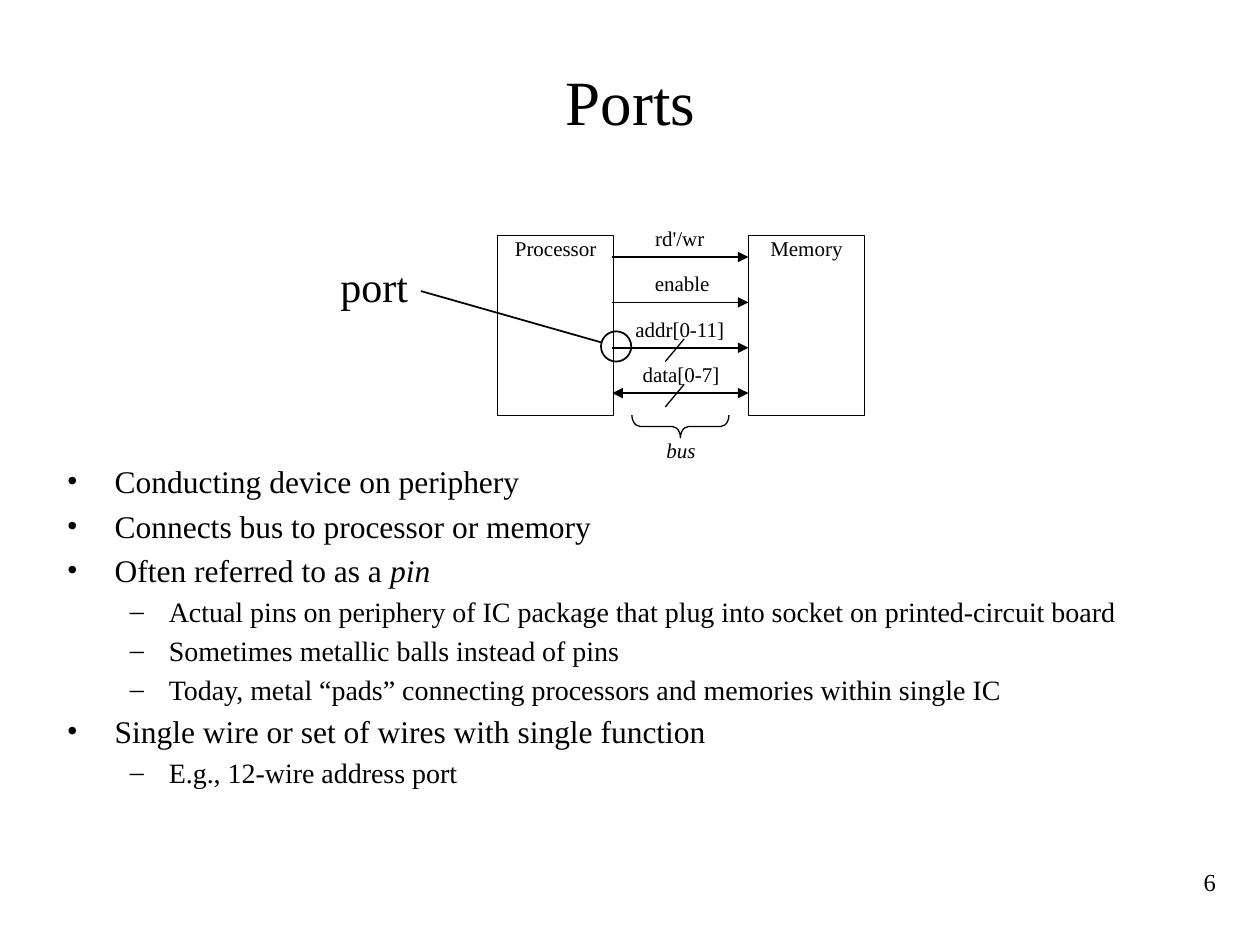
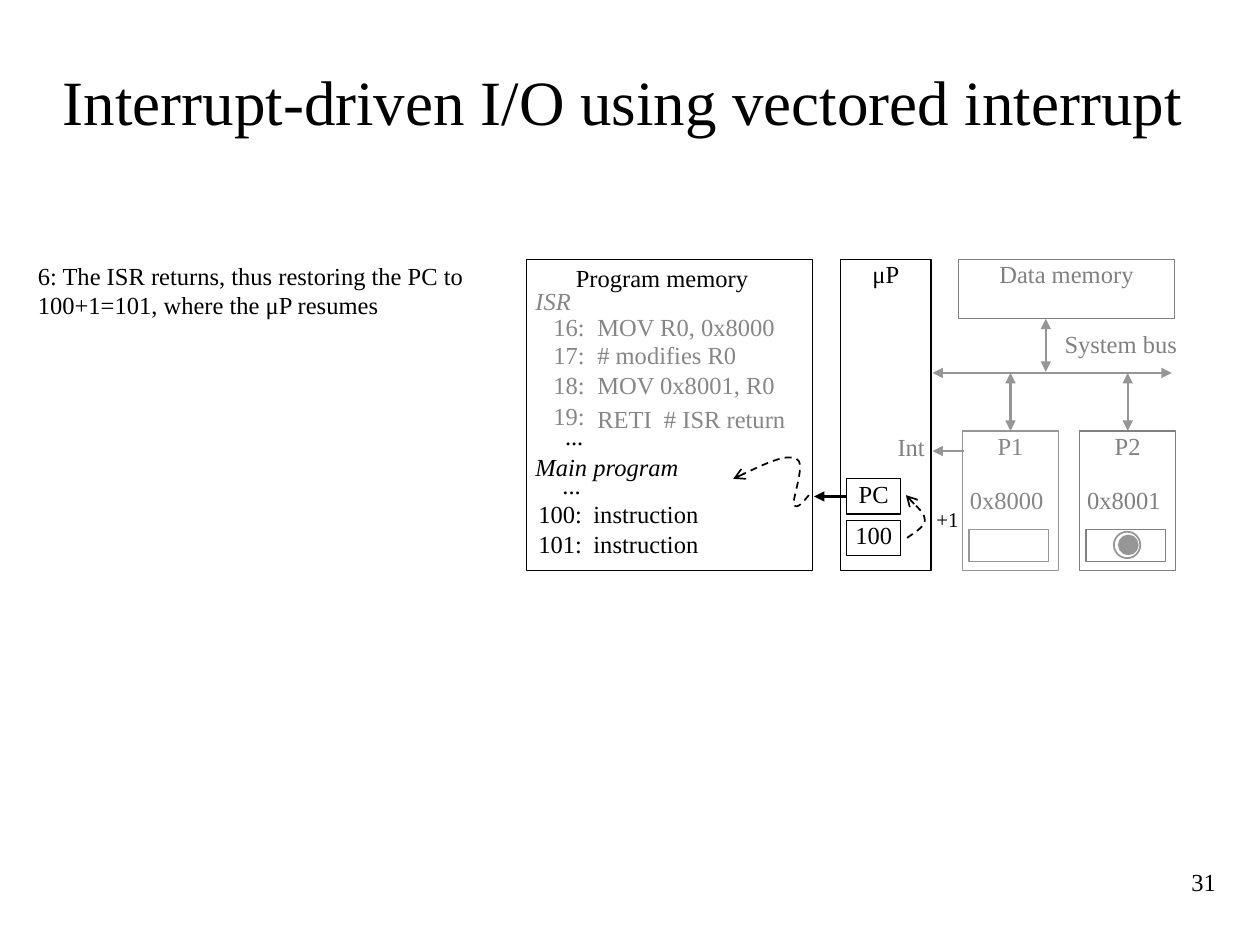
from dataclasses import dataclass

import lxml.etree
import pptx
import pptx.dml.color
import pptx.enum.dml
import pptx.enum.shapes
import pptx.enum.text
import pptx.oxml.ns
import pptx.util

PX = 9144
FONT = "Times New Roman"
COLOURS = {
    "ink": "000000",
    "paper": "FFFFFF",
    "idle_text": "868686",
    "muted": "808080",
    "idle_line": "969696",
}
SHAPES = pptx.enum.shapes.MSO_SHAPE
ALIGN = pptx.enum.text.PP_ALIGN
ANCHOR = pptx.enum.text.MSO_ANCHOR
qn = pptx.oxml.ns.qn


@dataclass
class Label:
    text: str
    left: int
    top: int
    width: int
    height: int
    size: int = 14
    colour: str = "ink"
    align: ALIGN = ALIGN.CENTER
    italic: bool = False


@dataclass
class Block:
    left: int
    top: int
    width: int
    height: int
    text: str = ""
    size: int = 14
    line: str = "ink"
    colour: str = "ink"
    fill: str | None = "paper"
    kind: SHAPES = SHAPES.RECTANGLE
    weight: float = 0.75


@dataclass
class Wire:
    start: tuple[int, int]
    end: tuple[int, int]
    weight: float = 0.75
    colour: str = "ink"
    head: str | None = None
    tail: str | None = None


@dataclass
class Signal:
    name: str
    left: int
    width: int
    weight: float = 0.75
    head: str | None = None


@dataclass
class Peripheral:
    name: str
    address: str
    left: int
    line: str
    colour: str


@dataclass
class CodeLine:
    number: str
    code: str
    top: int
    number_right: int
    code_left: int
    colour: str
    code_drop: int = 0


@dataclass
class Bullet:
    text: str
    level: int = 0
    emphasis: str = ""


def rgb(name: str) -> pptx.dml.color.RGBColor:
    return pptx.dml.color.RGBColor.from_string(COLOURS[name])


def style(paragraph, size: int, colour: str = "ink", align=None, italic: bool = False) -> None:
    paragraph.alignment = align
    paragraph.font.name = FONT
    paragraph.font.size = pptx.util.Pt(size)
    paragraph.font.color.rgb = rgb(colour)
    paragraph.font.italic = italic


def place(shape, left: int, top: int, width: int, height: int) -> None:
    shape.left, shape.top = left * PX, top * PX
    shape.width, shape.height = width * PX, height * PX


def set_insets(frame, side: int, vertical: int) -> None:
    frame.word_wrap = True
    frame.auto_size = pptx.enum.text.MSO_AUTO_SIZE.NONE
    frame.margin_left = frame.margin_right = side * PX
    frame.margin_top = frame.margin_bottom = vertical * PX


def add_label(slide, label: Label, side: int = 0, vertical: int = 0) -> None:
    box = slide.shapes.add_textbox(
        label.left * PX, label.top * PX, label.width * PX, label.height * PX)
    set_insets(box.text_frame, side, vertical)
    box.text_frame.text = label.text
    style(box.text_frame.paragraphs[0], label.size, label.colour, label.align, label.italic)


def add_block(slide, block: Block):
    shape = slide.shapes.add_shape(
        block.kind, block.left * PX, block.top * PX, block.width * PX, block.height * PX)
    shape.shadow.inherit = False
    if block.fill:
        shape.fill.solid()
        shape.fill.fore_color.rgb = rgb(block.fill)
    else:
        shape.fill.background()
    shape.line.color.rgb = rgb(block.line)
    shape.line.width = pptx.util.Pt(block.weight)
    if block.text:
        set_insets(shape.text_frame, 0, 0)
        shape.text_frame.vertical_anchor = ANCHOR.TOP
        shape.text_frame.text = block.text
        style(shape.text_frame.paragraphs[0], block.size, block.colour, ALIGN.CENTER)
    return shape


def add_arrowheads(shape, head: str | None, tail: str | None) -> None:
    outline = shape.element.spPr.find(qn("a:ln"))
    for tag, kind in (("a:headEnd", head), ("a:tailEnd", tail)):
        if kind:
            lxml.etree.SubElement(outline, qn(tag), type=kind)


def add_wire(slide, wire: Wire):
    connector = slide.shapes.add_connector(
        pptx.enum.shapes.MSO_CONNECTOR.STRAIGHT,
        *(length * PX for length in wire.start + wire.end))
    connector.line.color.rgb = rgb(wire.colour)
    connector.line.width = pptx.util.Pt(wire.weight)
    add_arrowheads(connector, wire.head, wire.tail)
    lxml.etree.SubElement(connector.element.spPr, qn("a:effectLst"))
    return connector


def add_dashed_curve(slide, start: tuple[int, int], controls: list[tuple[int, int]]) -> None:
    builder = slide.shapes.build_freeform(*start, scale=PX)
    builder.add_line_segments(controls, close=False)
    curve = builder.convert_to_shape()
    outline = curve.element.find(".//" + qn("a:path"))
    segments = outline.findall(qn("a:lnTo"))
    for first in range(0, len(segments), 3):
        bezier = lxml.etree.SubElement(outline, qn("a:cubicBezTo"))
        for segment in segments[first:first + 3]:
            bezier.append(segment[0])
            outline.remove(segment)
    curve.shadow.inherit = False
    curve.fill.background()
    curve.line.color.rgb = rgb("ink")
    curve.line.width = pptx.util.Pt(1)
    curve.line.dash_style = pptx.enum.dml.MSO_LINE.DASH
    add_arrowheads(curve, None, "arrow")


def add_slide(deck, layout: int, title: str, number: str):
    slide = deck.slides.add_slide(deck.slide_layouts[layout])
    heading = slide.shapes.title
    place(heading, 42, 17, 917, 125)
    set_insets(heading.text_frame, 0, 5)
    heading.text_frame.vertical_anchor = ANCHOR.MIDDLE
    heading.text_frame.text = title
    style(heading.text_frame.paragraphs[0], 36, align=ALIGN.CENTER)
    add_label(slide, Label(number, 875, 683, 100, 50, align=ALIGN.RIGHT), 10, 5)
    return slide


def fill_body(body, bullets: list[Bullet]) -> None:
    levels = [(38, -38, "•", 18), (81, -31, "–", 16)]
    place(body, 43, 362, 917, 306)
    set_insets(body.text_frame, 10, 5)
    for index, bullet in enumerate(bullets):
        paragraph = body.text_frame.paragraphs[0] if index == 0 else body.text_frame.add_paragraph()
        margin, indent, mark, size = levels[bullet.level]
        paragraph.level = bullet.level
        if index == 0:
            paragraph.space_before = pptx.util.Pt(0)
        properties = paragraph._p.get_or_add_pPr()
        properties.set("marL", str(margin * PX))
        properties.set("indent", str(indent * PX))
        lxml.etree.SubElement(properties, qn("a:buFont"), typeface=FONT)
        lxml.etree.SubElement(properties, qn("a:buChar"), char=mark)
        paragraph.add_run().text = bullet.text
        if bullet.emphasis:
            emphasis = paragraph.add_run()
            emphasis.text = bullet.emphasis
            emphasis.font.italic = True
        style(paragraph, size)


def build_ports(deck) -> None:
    slide = add_slide(deck, 1, "Ports", "6")
    fill_body(slide.placeholders[1], [
        Bullet("Conducting device on periphery"),
        Bullet("Connects bus to processor or memory"),
        Bullet("Often referred to as a ", emphasis="pin"),
        Bullet("Actual pins on periphery of IC package that plug into socket on printed-circuit board", 1),
        Bullet("Sometimes metallic balls instead of pins", 1),
        Bullet("Today, metal “pads” connecting processors and memories within single IC", 1),
        Bullet("Single wire or set of wires with single function"),
        Bullet("E.g., 12-wire address port", 1),
    ])
    for name, left in (("Processor", 395), ("Memory", 594)):
        add_block(slide, Block(left, 187, 92, 143, name, 12))
    signals = [
        Signal("rd'/wr", 501, 77),
        Signal("enable", 503, 77),
        Signal("addr[0-11]", 482, 115, 1.25),
        Signal("data[0-7]", 491, 99, 1.25, "triangle"),
    ]
    for index, signal in enumerate(signals):
        top = 179 + 36 * index
        level = top + 25
        add_wire(slide, Wire((486, level), (594, level), signal.weight,
                             head=signal.head, tail="triangle"))
        add_label(slide, Label(signal.name, signal.left, top, signal.width, 36, 12))
        if signal.weight > 1:
            add_wire(slide, Wire((543, level - 7), (528, level + 11)))
    brace = add_block(slide, Block(531, 300, 18, 77, fill=None, kind=SHAPES.RIGHT_BRACE))
    brace.rotation = 90
    brace.adjustments[0] = 0.36
    add_label(slide, Label("bus", 502, 347, 77, 36, 12, italic=True))
    add_block(slide, Block(477, 263, 24, 24, fill=None, kind=SHAPES.OVAL, weight=1))
    add_wire(slide, Wire((478, 272), (334, 231), 1))
    add_label(slide, Label("port", 259, 207, 76, 40, 24))


def build_interrupt(deck) -> None:
    slide = add_slide(deck, 5, "Interrupt-driven I/O using vectored interrupt ", "31")
    add_label(slide, Label("6: The ISR returns, thus restoring the PC to 100+1=101, where the μP resumes",
                           30, 207, 340, 47, align=ALIGN.LEFT))
    add_block(slide, Block(418, 206, 227, 247))
    add_block(slide, Block(667, 206, 72, 247, "μP"))
    add_block(slide, Block(761, 206, 171, 47, "Data memory", line="muted", colour="muted"))

    double = dict(weight=1.25, colour="idle_line", head="triangle", tail="triangle")
    add_wire(slide, Wire((740, 296), (930, 296), **double))
    add_wire(slide, Wire((830, 253), (830, 295), **double))
    for part in (Peripheral("P1", "0x8000", 764, "idle_line", "idle_text"),
                 Peripheral("P2", "0x8001", 857, "muted", "muted")):
        tower = add_block(slide, Block(part.left, 342, 76, 111, part.name,
                                       line=part.line, colour=part.colour))
        add_block(slide, Block(part.left + 5, 420, 63, 26, line=part.line))
        add_label(slide, Label(part.address, part.left + 2, 385, 66, 30, colour=part.colour))
        middle = part.left + 38
        add_wire(slide, Wire((middle, 296), (middle, 342), **double)).end_connect(tower, 0)
    add_block(slide, Block(888, 425, 15, 15, line="idle_line", fill="idle_line", kind=SHAPES.OVAL, weight=1))
    add_block(slide, Block(884, 422, 21, 21, line="idle_line", fill=None, kind=SHAPES.OVAL, weight=1))
    add_label(slide, Label("System bus", 839, 261, 101, 39, colour="muted"))
    add_wire(slide, Wire((765, 358), (740, 358), colour="idle_line", tail="triangle"))
    add_label(slide, Label("Int", 702, 343, 32, 32, colour="muted", align=ALIGN.RIGHT))

    add_label(slide, Label("Program memory", 457, 209, 156, 32, align=ALIGN.LEFT))
    for name, top, colour in (("ISR", 227, "idle_text"), ("Main program", 359, "ink")):
        add_label(slide, Label(name, 425, top, 133, 33, colour=colour, align=ALIGN.LEFT, italic=True))
    for left, top in ((434, 334), (432, 373)):
        add_label(slide, Label("...", left, top, 29, 25, align=ALIGN.RIGHT))
    for row in (
        CodeLine("16:", "MOV R0, 0x8000", 248, 464, 474, "idle_text"),
        CodeLine("17:", "# modifies R0", 270, 464, 474, "idle_text"),
        CodeLine("18:", "MOV 0x8001, R0", 294, 464, 474, "idle_text"),
        CodeLine("19:", "RETI  # ISR return", 318, 464, 474, "idle_text", 3),
        CodeLine("100:", "instruction", 396, 462, 471, "ink"),
        CodeLine("101:", "instruction", 420, 462, 471, "ink"),
    ):
        add_label(slide, Label(row.number, row.number_right - 42, row.top, 42, 25,
                               colour=row.colour, align=ALIGN.RIGHT))
        add_label(slide, Label(row.code, row.code_left, row.top + row.code_drop, 172, 25,
                               colour=row.colour, align=ALIGN.LEFT))

    counter = add_block(slide, Block(672, 380, 43, 28, "PC"))
    add_block(slide, Block(672, 413, 43, 28, "100"))
    add_wire(slide, Wire((672, 394), (646, 394), 1.25, tail="triangle")).begin_connect(counter, 1)
    add_dashed_curve(slide, (720, 427), [(722, 425), (735, 418), (734, 413),
                                         (734, 407), (722, 397), (719, 393)])
    add_label(slide, Label("+1", 738, 402, 28, 20, 12))
    add_dashed_curve(slide, (642, 393), [(637, 399), (632, 405), (630, 400),
                                         (629, 395), (640, 367), (632, 364),
                                         (624, 360), (603, 370), (582, 380)])


def main() -> None:
    deck = pptx.Presentation()
    deck.slide_width, deck.slide_height = 1000 * PX, 750 * PX
    build_ports(deck)
    build_interrupt(deck)
    deck.save("out.pptx")


if __name__ == "__main__":
    main()
